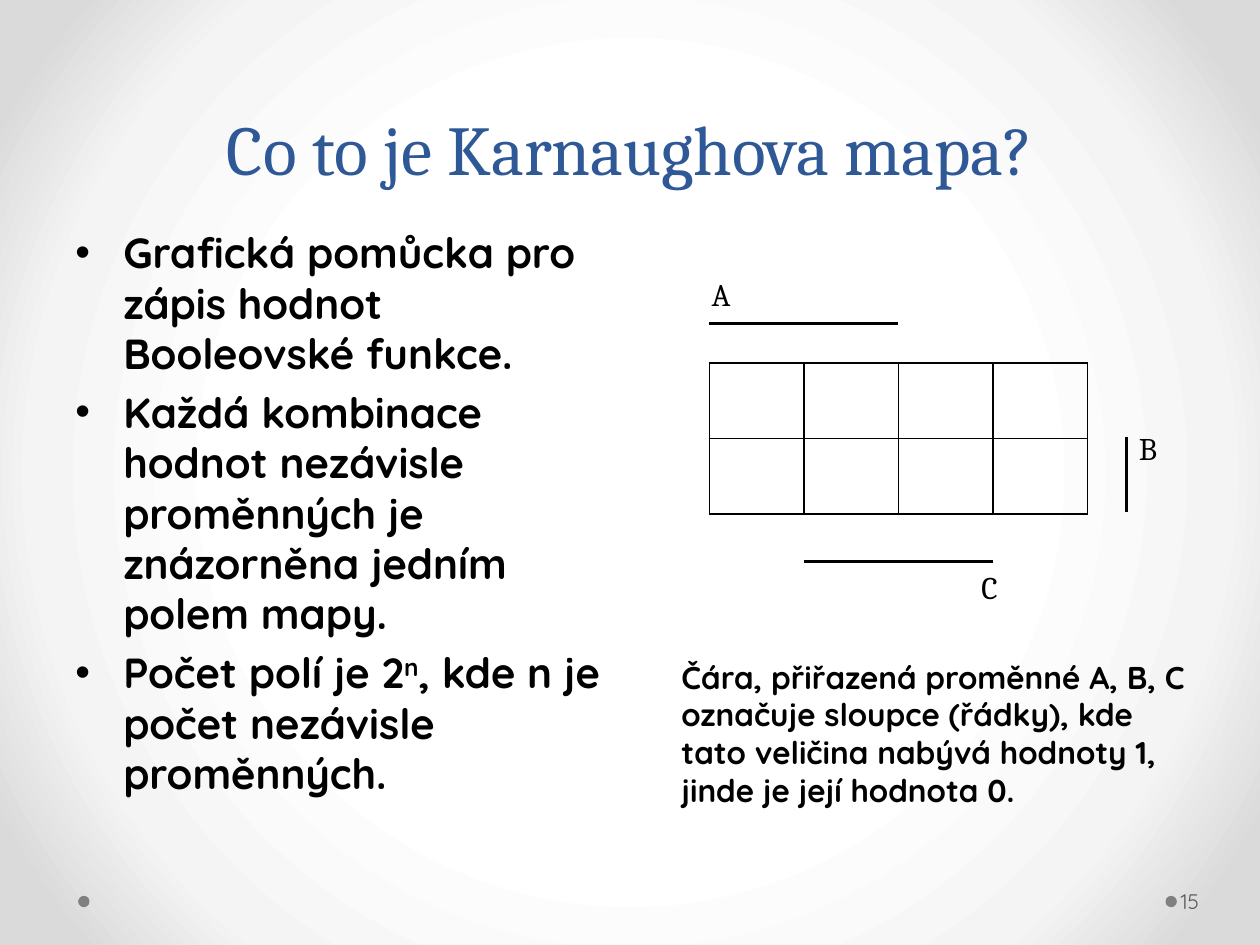
import dataclasses
import typing

import lxml.etree
import pptx
import pptx.dml.color
import pptx.enum.shapes
import pptx.enum.text
import pptx.oxml
import pptx.oxml.ns
import pptx.util

Inches = pptx.util.Inches
Pt = pptx.util.Pt
qn = pptx.oxml.ns.qn
Anchor = pptx.enum.text.MSO_ANCHOR
Align = pptx.enum.text.PP_ALIGN

BLACK = pptx.dml.color.RGBColor(0x00, 0x00, 0x00)
TITLE_BLUE = pptx.dml.color.RGBColor(0x2F, 0x58, 0x97)
DOT_GRAY = pptx.dml.color.RGBColor(0x80, 0x80, 0x80)
NUMBER_GRAY = pptx.dml.color.RGBColor(0x59, 0x59, 0x59)
BACKGROUND_STOPS = ((50, "FFFFFF"), (76, "F4F4F4"), (92, "DADADA"))

SERIF = {"name": "Cambria", "size": Pt(18), "color": BLACK}
SANS = {"name": "Quicksand", "size": Pt(18), "color": BLACK, "bold": True}
BODY = {**SANS, "size": Pt(24)}

MAP_LEFT, MAP_TOP, CELL_WIDTH, CELL_HEIGHT = 5.63, 2.88, 0.75, 0.6
ROWS, COLUMNS = 2, 4

BULLETS = (
    (("Grafická pomůcka pro zápis hodnot Booleovské funkce.", False),),
    (("Každá kombinace hodnot nezávisle proměnných je znázorněna jedním polem mapy.", False),),
    (("Počet polí je 2", False), ("n", True), (", kde n je počet nezávisle proměnných.", False)),
)


@dataclasses.dataclass(frozen=True)
class Label:
    text: str
    box: tuple[float, float, float, float]
    font: dict[str, typing.Any]
    paragraph: dict[str, typing.Any] = dataclasses.field(default_factory=dict)
    frame: dict[str, typing.Any] = dataclasses.field(default_factory=dict)


@dataclasses.dataclass(frozen=True)
class VariableLine:
    """Line marking the columns or rows where a variable equals 1."""
    start: tuple[float, float]
    end: tuple[float, float]


LABELS = (
    Label("Co to je Karnaughova mapa?", (0.5, 0.44, 9, 1.11),
          {**SERIF, "size": Pt(40), "color": TITLE_BLUE},
          {"alignment": Align.CENTER, "line_spacing": Pt(58)},
          {"vertical_anchor": Anchor.BOTTOM}),
    Label("A", (5.55, 2.13, 0.55, 0.4), SERIF),
    Label("B", (8.94, 3.36, 0.55, 0.4), SERIF),
    Label("C", (7.69, 4.46, 0.31, 0.4), SERIF),
    Label("Čára, přiřazená proměnné A, B, C označuje sloupce (řádky), kde tato "
          "veličina nabývá hodnoty 1, jinde je její hodnota 0.",
          (5.31, 5.17, 4.25, 1.31), SANS),
    Label("15", (9.34, 6.95, 0.61, 0.4),
          {**SANS, "size": Pt(12), "color": NUMBER_GRAY, "bold": False},
          frame={"vertical_anchor": Anchor.MIDDLE, "margin_left": Inches(0.03),
                 "margin_right": Inches(0.05)}),
)

VARIABLE_LINES = (
    VariableLine((MAP_LEFT, 2.57), (MAP_LEFT + 2 * CELL_WIDTH, 2.57)),
    VariableLine((MAP_LEFT + CELL_WIDTH, 4.46), (MAP_LEFT + 3 * CELL_WIDTH, 4.46)),
    VariableLine((8.94, 4.06), (8.94, 3.47)),
)


def set_attributes(target: typing.Any, values: dict[str, typing.Any]) -> None:
    for name, value in values.items():
        if name == "color":
            target.color.rgb = value
        else:
            setattr(target, name, value)


def set_background(slide: typing.Any) -> None:
    """Fill the slide with a circular gradient spreading from its centre."""
    slide.background.fill.gradient()
    gradient = next(slide.element.iter(qn("a:gradFill")))
    for child in list(gradient):
        gradient.remove(child)
    stops = lxml.etree.SubElement(gradient, qn("a:gsLst"))
    for position, color in BACKGROUND_STOPS:
        stop = lxml.etree.SubElement(stops, qn("a:gs"), pos=str(position * 1000))
        lxml.etree.SubElement(stop, qn("a:srgbClr"), val=color)
    circle = lxml.etree.SubElement(gradient, qn("a:path"), {"path": "circle"})
    sides = {side: "50000" for side in "ltrb"}
    lxml.etree.SubElement(circle, qn("a:fillToRect"), sides)


def add_frame(slide: typing.Any, box: tuple[float, float, float, float]) -> typing.Any:
    frame = slide.shapes.add_textbox(*map(Inches, box)).text_frame
    frame.word_wrap = True
    return frame


def add_label(slide: typing.Any, label: Label) -> None:
    frame = add_frame(slide, label.box)
    set_attributes(frame, label.frame)
    paragraph = frame.paragraphs[0]
    set_attributes(paragraph, label.paragraph)
    run = paragraph.add_run()
    run.text = label.text
    set_attributes(run.font, label.font)


def add_bullets(slide: typing.Any) -> None:
    frame = add_frame(slide, (0.5, 1.75, 4.42, 4.95))
    for index, parts in enumerate(BULLETS):
        paragraph = frame.add_paragraph() if index else frame.paragraphs[0]
        paragraph.space_before = Pt(4.8)
        properties = paragraph._p.get_or_add_pPr()
        properties.set("marL", str(Inches(0.38)))
        properties.set("indent", str(Inches(-0.38)))
        lxml.etree.SubElement(properties, qn("a:buFont"), typeface="Arial")
        lxml.etree.SubElement(properties, qn("a:buChar"), char="•")
        for text, superscript in parts:
            run = paragraph.add_run()
            run.text = text
            set_attributes(run.font, BODY)
            if superscript:
                run._r.get_or_add_rPr().set("baseline", "30000")


def add_cell_borders(cell: typing.Any) -> None:
    properties = cell._tc.get_or_add_tcPr()
    for index, side in enumerate(("lnL", "lnR", "lnT", "lnB")):
        border = pptx.oxml.parse_xml(
            f'<a:{side} {pptx.oxml.ns.nsdecls("a")} w="{Pt(1)}"><a:solidFill>'
            f'<a:srgbClr val="{BLACK}"/></a:solidFill></a:{side}>')
        properties.insert(index, border)


def add_karnaugh_map(slide: typing.Any) -> None:
    table = slide.shapes.add_table(
        ROWS, COLUMNS, Inches(MAP_LEFT), Inches(MAP_TOP),
        Inches(COLUMNS * CELL_WIDTH), Inches(ROWS * CELL_HEIGHT)).table
    table.first_row = table.horz_banding = False
    for cell in table.iter_cells():
        cell.fill.background()
        add_cell_borders(cell)


def add_variable_line(slide: typing.Any, line: VariableLine) -> None:
    connector = slide.shapes.add_connector(
        pptx.enum.shapes.MSO_CONNECTOR.STRAIGHT,
        *map(Inches, (*line.start, *line.end)))
    set_attributes(connector.line, {"color": BLACK, "width": Pt(1.75)})
    lxml.etree.SubElement(connector._element.spPr, qn("a:effectLst"))


def add_footer_dot(slide: typing.Any, left: float) -> None:
    dot = slide.shapes.add_shape(
        pptx.enum.shapes.MSO_SHAPE.OVAL,
        *map(Inches, (left, 7.11, 0.09, 0.09)))
    dot.shadow.inherit = False
    dot.fill.solid()
    dot.fill.fore_color.rgb = DOT_GRAY
    dot.line.fill.background()


def main() -> None:
    presentation = pptx.Presentation()
    presentation.slide_width = Inches(10)
    presentation.slide_height = Inches(7.5)
    slide = presentation.slides.add_slide(presentation.slide_layouts[6])
    set_background(slide)
    for left in (9.25, 0.62):
        add_footer_dot(slide, left)
    add_bullets(slide)
    add_karnaugh_map(slide)
    for line in VARIABLE_LINES:
        add_variable_line(slide, line)
    for label in LABELS:
        add_label(slide, label)
    presentation.save("out.pptx")


if __name__ == "__main__":
    main()
